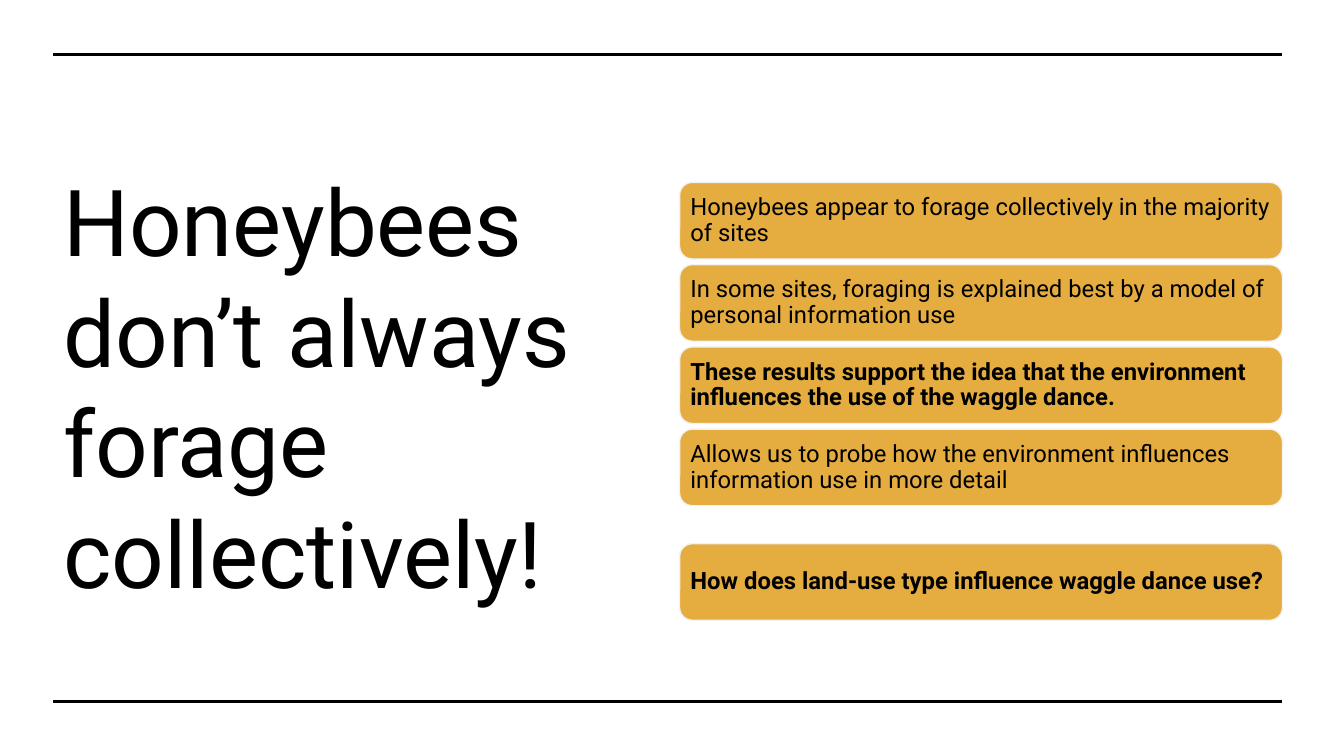
from pptx import Presentation
from pptx.dml.color import RGBColor
from pptx.enum.shapes import MSO_CONNECTOR, MSO_SHAPE
from pptx.enum.text import MSO_ANCHOR, PP_ALIGN
from pptx.oxml.ns import qn
from pptx.util import Inches, Pt
from lxml.etree import SubElement

WIDE, HIGH = 13.33, 7.5
LEFT, RIGHT = 0.53, 12.72
RULES = (0.54, 6.96)

# Card column: equal rows, with an extra gap before the closing question
CARD_X, CARD_Y = 6.74, 1.81
CARD_H, PITCH, BREAK = 0.76, 0.816, 0.32
INK, HONEY, EDGE = "000000", "E5AC3F", "F2F2F2"

# Wording, bold, set apart
CARDS = [
    ("Honeybees appear to forage collectively in the majority of sites", False, False),
    ("In some sites, foraging is explained best by a model of personal information use", False, False),
    ("These results support the idea that the environment influences the use of the waggle dance.", True, False),
    ("Allows us to probe how the environment influences information use in more detail", False, False),
    ("How does land-use type influence waggle dance use?", True, True),
]


def color(code):
    return RGBColor.from_string(code)


def write(frame, text, size, bold=False):
    frame.word_wrap = True
    frame.vertical_anchor = MSO_ANCHOR.MIDDLE
    para = frame.paragraphs[0]
    para.alignment = PP_ALIGN.LEFT
    run = para.add_run()
    run.text = text
    font = run.font
    font.name, font.size, font.bold = "Roboto", Pt(size), bold
    font.color.rgb = color(INK)
    return para


def add_rule(slide, y):
    rule = slide.shapes.add_connector(
        MSO_CONNECTOR.STRAIGHT, Inches(LEFT), Inches(y), Inches(RIGHT), Inches(y))
    rule.line.color.rgb = color(INK)
    rule.line.width = Pt(2.25)
    SubElement(rule.line._get_or_add_ln().getparent(), qn("a:effectLst"))


def add_title(slide, text):
    box = slide.shapes.add_textbox(
        Inches(LEFT), Inches(0.95), Inches(6.14), Inches(5.75))
    write(box.text_frame, text, 66)


def add_card(slide, y, text, bold):
    card = slide.shapes.add_shape(
        MSO_SHAPE.ROUNDED_RECTANGLE, Inches(CARD_X), Inches(y),
        Inches(RIGHT - CARD_X), Inches(CARD_H))
    card.shadow.inherit = False
    card.fill.solid()
    card.fill.fore_color.rgb = color(HONEY)
    card.line.color.rgb = color(EDGE)
    card.line.width = Pt(1)
    frame = card.text_frame
    frame.margin_left = frame.margin_right = Inches(0.07)
    frame.margin_top = frame.margin_bottom = Inches(0.07)
    write(frame, text, 17, bold).line_spacing = 0.9


def main():
    deck = Presentation()
    deck.slide_width, deck.slide_height = Inches(WIDE), Inches(HIGH)
    slide = deck.slides.add_slide(deck.slide_layouts[6])

    # Frame lines and title
    for y in RULES:
        add_rule(slide, y)
    add_title(slide, "Honeybees don’t always forage collectively!")

    # Findings
    for row, (text, bold, apart) in enumerate(CARDS):
        add_card(slide, CARD_Y + row * PITCH + apart * BREAK, text, bold)

    deck.save("out.pptx")


if __name__ == "__main__":
    main()
